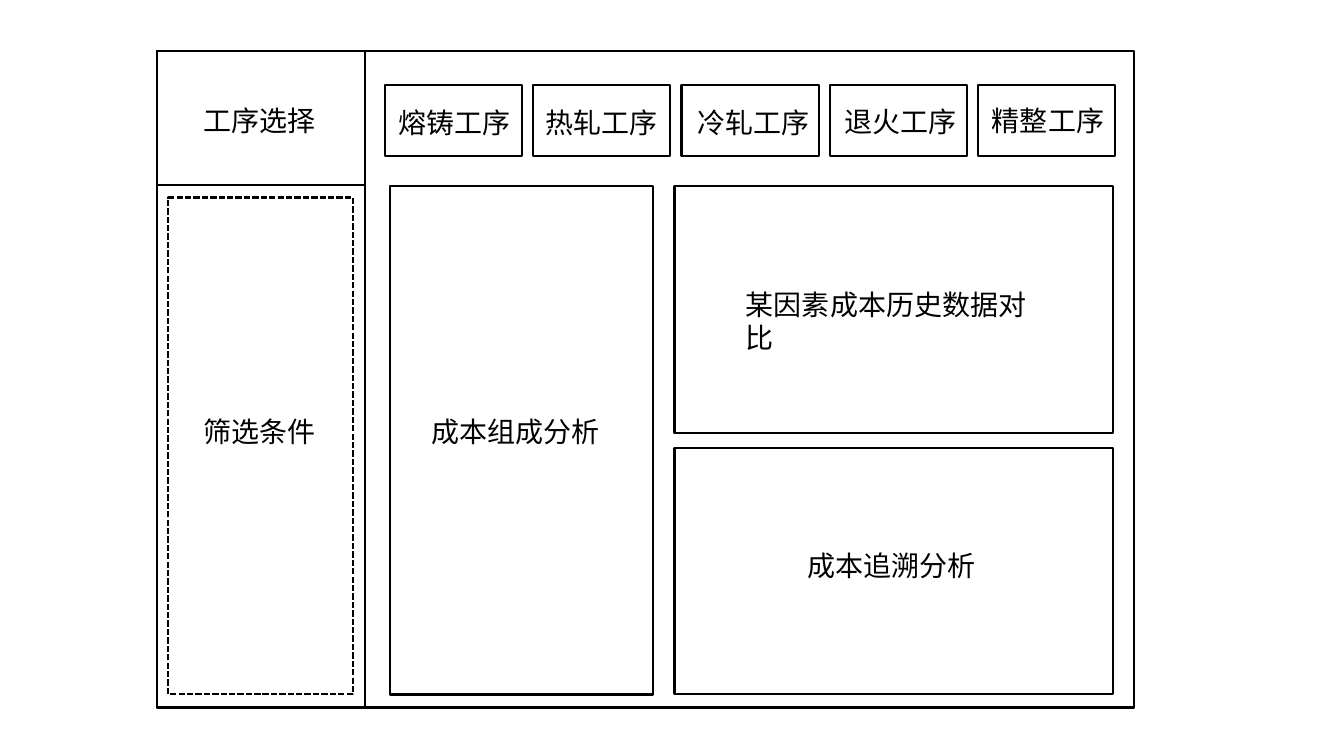
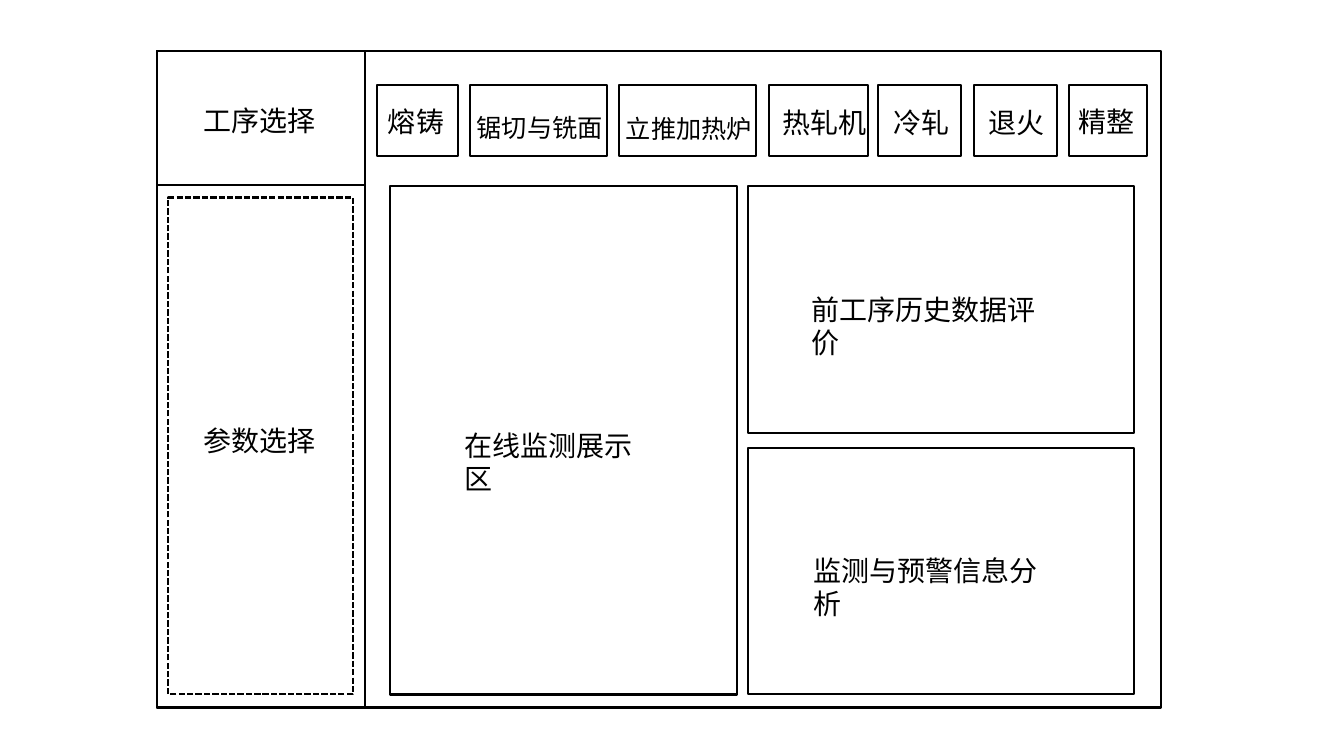
from lxml import etree
from pptx import Presentation
from pptx.dml.color import RGBColor
from pptx.enum.dml import MSO_LINE
from pptx.enum.shapes import MSO_SHAPE
from pptx.enum.text import MSO_AUTO_SIZE
from pptx.oxml.ns import qn
from pptx.util import Inches, Pt

RECTANGLE = MSO_SHAPE.RECTANGLE
SHORT_DASH = MSO_LINE.SQUARE_DOT
GROW = MSO_AUTO_SIZE.SHAPE_TO_FIT_TEXT

BLACK = RGBColor(0x00, 0x00, 0x00)
FONT = "Noto Sans CJK SC"
BLANK_LAYOUT = 6
CELL = 0.1  # inches per grid column and row
INSET = 1  # cells beside a label's text

FRAME_LEFT, FRAME_TOP, FRAME_HEIGHT = 15.6, 5.1, 65.1
SIDEBAR_WIDTH, SELECTOR_HEIGHT = 20.6, 13.3
SIDEBAR_LABEL_LEFT = 19.2
FILTER_AREA = (16.7, 19.6, 18.3, 49.3)
PROCESS_TOP, PROCESS_HEIGHT = 8.45, 7.05
PANEL_LEFT, PANEL_TOP, PANEL_HEIGHT = 38.7, 18.5, 50.4
HALF_PANEL_HEIGHT, PANEL_GAP = 24.45, 1.5

NORMAL = {"size": 20, "spacing": 1.0, "height": 4.4}
SMALL = {"size": 18, "spacing": 1.5, "height": 5.0}


def grid(*cells):
    return [Inches(round(cell * CELL, 3)) for cell in cells]


def apply_format(target, values):
    for name, value in values.items():
        setattr(target, name, value)


class Wireframe:
    """Draws outlined areas and labels on the current slide."""

    def __init__(self, presentation):
        self.presentation = presentation
        self.slide = None

    def new_slide(self):
        layout = self.presentation.slide_layouts[BLANK_LAYOUT]
        self.slide = self.presentation.slides.add_slide(layout)

    def area(self, left, top, width, height, **line_format):
        shape = self.slide.shapes.add_shape(RECTANGLE, *grid(left, top, width, height))
        shape.shadow.inherit = False
        shape.fill.background()
        shape.line.color.rgb = BLACK
        apply_format(shape.line, {"width": Pt(1.5), **line_format})

    def label(self, text, left, top, style=NORMAL):
        width = len(text) * style["size"] / 72 / CELL + 2 * INSET
        box = self.slide.shapes.add_textbox(*grid(left, top, width, style["height"]))
        apply_format(box.text_frame, {"word_wrap": False, "auto_size": GROW})
        paragraph = box.text_frame.paragraphs[0]
        paragraph.line_spacing = style["spacing"]
        run = paragraph.add_run()
        run.text = text
        apply_format(run.font, {"name": FONT, "size": Pt(style["size"])})
        run.font.color.rgb = BLACK
        properties = run._r.get_or_add_rPr()
        etree.SubElement(properties, qn("a:ea")).set("typeface", FONT)

    def frame(self, width, filter_text, filter_top):
        """Draw the outer border and the sidebar with its two parts."""
        for size in ((width, FRAME_HEIGHT),
                     (SIDEBAR_WIDTH, FRAME_HEIGHT),
                     (SIDEBAR_WIDTH, SELECTOR_HEIGHT)):
            self.area(FRAME_LEFT, FRAME_TOP, *size)
        self.area(*FILTER_AREA, dash_style=SHORT_DASH)
        self.label("工序选择", SIDEBAR_LABEL_LEFT, 9.8)
        self.label(filter_text, SIDEBAR_LABEL_LEFT, filter_top)

    def processes(self, boxes):
        """Draw the top row from (left, width, label arguments) entries."""
        for left, width, label in boxes:
            self.area(left, PROCESS_TOP, width, PROCESS_HEIGHT)
            self.label(*label)

    def panels(self, main_width, side_left, side_width, labels):
        """Draw one tall panel beside two stacked ones."""
        self.area(PANEL_LEFT, PANEL_TOP, main_width, PANEL_HEIGHT)
        for row in range(2):
            top = PANEL_TOP + row * (HALF_PANEL_HEIGHT + PANEL_GAP)
            self.area(side_left, top, side_width, HALF_PANEL_HEIGHT)
        for label in labels:
            self.label(*label)


def cost_slide(wireframe):
    wireframe.new_slide()
    wireframe.frame(96.9, "筛选条件", 40.6)
    labels = [
        ("熔铸工序", 38.5, 10),
        ("热轧工序", 53.1, 10),
        ("冷轧工序", 68.2, 10),
        ("退火工序", 82.8, 9.9),
        ("精整工序", 97.4, 9.8),
    ]
    wireframe.processes((38.2 + 14.7 * column, 13.6, label)
                        for column, label in enumerate(labels))
    wireframe.panels(26.1, 66.9, 43.5, [
        ("成本组成分析", 41.8, 40.6),
        ("某因素成本历史数据对比", 73, 28),
        ("成本追溯分析", 79.1, 53.9),
    ])


def monitoring_slide(wireframe):
    wireframe.new_slide()
    wireframe.frame(99.6, "参数选择", 41.5)
    wireframe.processes([
        (37.4, 8, ("熔铸", 37.5, 9.9)),
        (46.6, 13.6, ("锯切与铣面", 46.3, 9.2, SMALL)),
        (61.4, 13.6, ("立推加热炉", 61.1, 9.3, SMALL)),
        (76.3, 9.8, ("热轧机", 76.6, 10)),
        (87.1, 8.2, ("冷轧", 87.6, 10)),
        (96.6, 8.2, ("退火", 97.1, 10)),
        (106, 7.8, ("精整", 106, 9.9)),
    ])
    wireframe.panels(34.4, 74.2, 38.3, [
        ("在线监测展示区", 45.1, 42),
        ("前工序历史数据评价", 79.5, 28.5),
        ("监测与预警信息分析", 79.7, 54.4),
    ])


def main():
    presentation = Presentation()
    presentation.slide_width, presentation.slide_height = Inches(13.33), Inches(7.5)
    wireframe = Wireframe(presentation)
    cost_slide(wireframe)
    monitoring_slide(wireframe)
    presentation.save("out.pptx")


if __name__ == "__main__":
    main()
